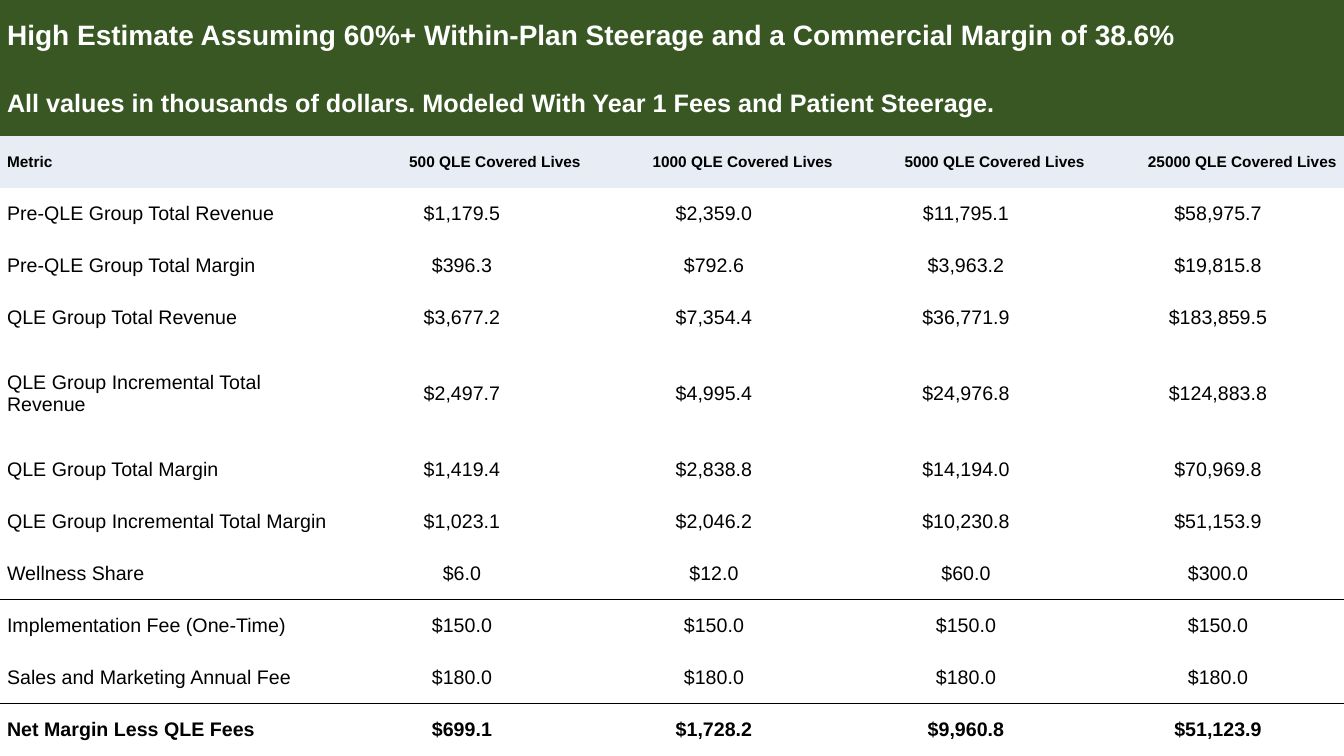
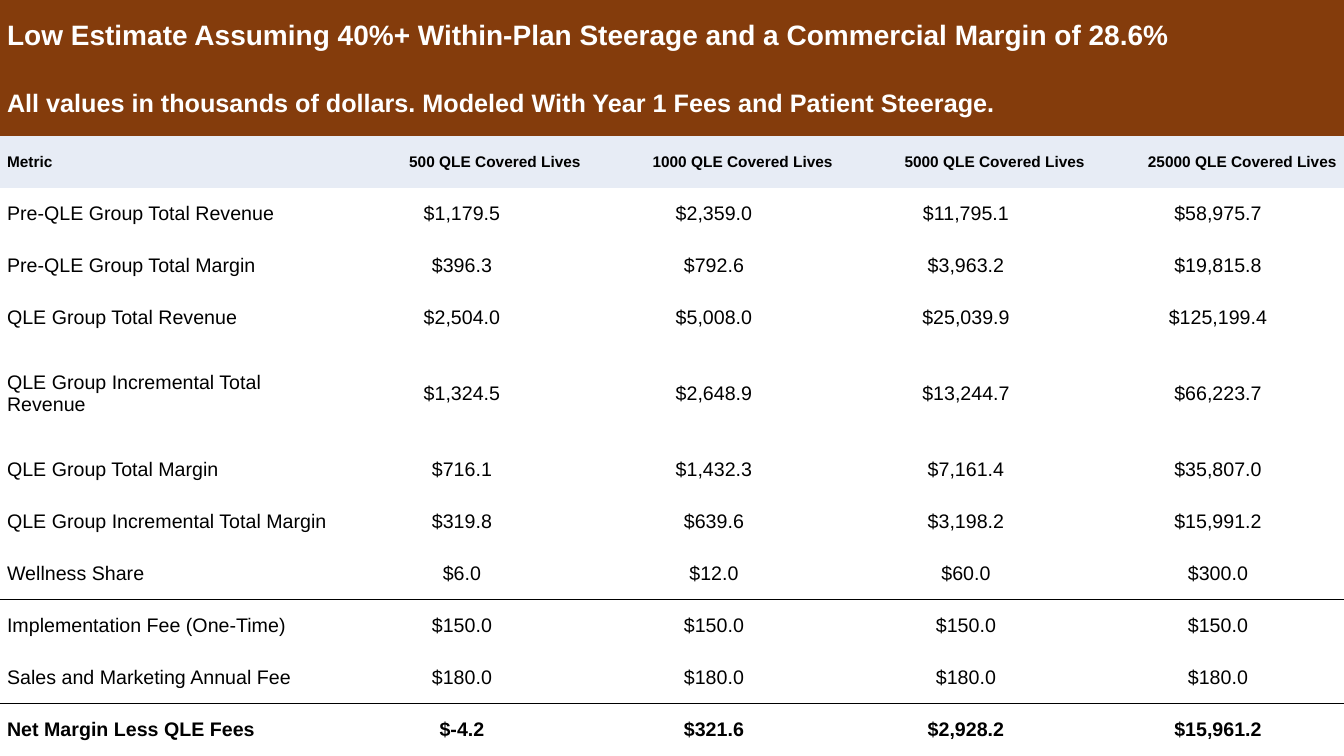
from dataclasses import dataclass

from lxml.etree import SubElement
from pptx import Presentation
from pptx.dml.color import RGBColor
from pptx.enum.text import MSO_ANCHOR as Anchor, PP_ALIGN as Align
from pptx.oxml.ns import qn
from pptx.util import Inches, Pt

GREEN = RGBColor(0x38, 0x57, 0x23)
BROWN = RGBColor(0x84, 0x3C, 0x0C)
PALE_BLUE = RGBColor(0xE7, 0xEC, 0xF5)
WHITE = RGBColor(0xFF, 0xFF, 0xFF)
BLACK = RGBColor(0x00, 0x00, 0x00)

WIDTH, HEIGHT = Inches(40 / 3), Inches(7.5)
COL_SHARES = (4 / 16,) + (3 / 16,) * 4
TITLE_ROW, SUBTITLE_ROW, TALL_ROW = Inches(0.71), Inches(0.64), Inches(0.99)
INDENT = Inches(0.07)
PLAIN_TABLE = "{2D5ABB26-0587-4C30-8999-92F81FD0307C}"
SIDES = ("lnL", "lnR", "lnT", "lnB")

SUBTITLE = "All values in thousands of dollars. Modeled With Year 1 Fees and Patient Steerage."
HEADER = ("Metric",) + tuple(f"{n} QLE Covered Lives" for n in (500, 1000, 5000, 25000))
TALL_METRIC = "QLE Group Incremental Total Revenue"
PRE_REVENUE = ("Pre-QLE Group Total Revenue", "$1,179.5", "$2,359.0", "$11,795.1", "$58,975.7")
PRE_MARGIN = ("Pre-QLE Group Total Margin", "$396.3", "$792.6", "$3,963.2", "$19,815.8")
WELLNESS = ("Wellness Share", "$6.0", "$12.0", "$60.0", "$300.0")
IMPLEMENTATION = ("Implementation Fee (One-Time)",) + ("$150.0",) * 4
MARKETING = ("Sales and Marketing Annual Fee",) + ("$180.0",) * 4


@dataclass(frozen=True)
class RowStyle:
    size: int
    bold: bool = False
    color: RGBColor = BLACK
    fill: RGBColor | None = None
    align: Align = Align.CENTER
    rule: str = ""


@dataclass(frozen=True)
class Estimate:
    title: str
    band: RGBColor
    revenue: tuple[str, ...]
    added_revenue: tuple[str, ...]
    margin: tuple[str, ...]
    added_margin: tuple[str, ...]
    net_margin: tuple[str, ...]

    def rows(self) -> list[tuple[tuple[str, ...], RowStyle]]:
        body = RowStyle(14)
        ruled = RowStyle(14, rule="lnB")
        return [
            ((self.title,), RowStyle(20, True, WHITE, self.band)),
            ((SUBTITLE,), RowStyle(18, True, WHITE, self.band)),
            (HEADER, RowStyle(11, True, fill=PALE_BLUE, align=Align.RIGHT)),
            (PRE_REVENUE, body),
            (PRE_MARGIN, body),
            (("QLE Group Total Revenue",) + self.revenue, body),
            ((TALL_METRIC,) + self.added_revenue, body),
            (("QLE Group Total Margin",) + self.margin, body),
            (("QLE Group Incremental Total Margin",) + self.added_margin, body),
            (WELLNESS, ruled),
            (IMPLEMENTATION, RowStyle(14, rule="lnT")),
            (MARKETING, ruled),
            (("Net Margin Less QLE Fees",) + self.net_margin, RowStyle(14, True, rule="lnT")),
        ]


ESTIMATES = (
    Estimate(
        "High Estimate Assuming 60%+ Within-Plan Steerage and a Commercial Margin of 38.6%",
        GREEN,
        ("$3,677.2", "$7,354.4", "$36,771.9", "$183,859.5"),
        ("$2,497.7", "$4,995.4", "$24,976.8", "$124,883.8"),
        ("$1,419.4", "$2,838.8", "$14,194.0", "$70,969.8"),
        ("$1,023.1", "$2,046.2", "$10,230.8", "$51,153.9"),
        ("$699.1", "$1,728.2", "$9,960.8", "$51,123.9"),
    ),
    Estimate(
        "Low Estimate Assuming 40%+ Within-Plan Steerage and a Commercial Margin of 28.6%",
        BROWN,
        ("$2,504.0", "$5,008.0", "$25,039.9", "$125,199.4"),
        ("$1,324.5", "$2,648.9", "$13,244.7", "$66,223.7"),
        ("$716.1", "$1,432.3", "$7,161.4", "$35,807.0"),
        ("$319.8", "$639.6", "$3,198.2", "$15,991.2"),
        ("$-4.2", "$321.6", "$2,928.2", "$15,961.2"),
    ),
)


def set_borders(cell, rule: str) -> None:
    for side in SIDES:
        ln = SubElement(cell._tc.get_or_add_tcPr(), qn(f"a:{side}"), w=str(Pt(1)))
        if side == rule:
            fill = SubElement(ln, qn("a:solidFill"))
            SubElement(fill, qn("a:srgbClr"), val=str(BLACK))
        else:
            SubElement(ln, qn("a:noFill"))


def fill_cell(cell, text: str, style: RowStyle, align: Align) -> None:
    cell_format = {
        "margin_left": 0, "margin_right": 0, "margin_top": 0, "margin_bottom": 0,
        "vertical_anchor": Anchor.MIDDLE,
    }
    for name, value in cell_format.items():
        setattr(cell, name, value)
    set_borders(cell, style.rule)
    if style.fill is None:
        cell.fill.background()
    else:
        cell.fill.solid()
        cell.fill.fore_color.rgb = style.fill
    p = cell.text_frame.paragraphs[0]
    p.alignment = align
    for side in ("marL", "marR"):
        p._p.get_or_add_pPr().set(side, str(INDENT))
    r = p.add_run()
    r.text = text
    for name, value in {"name": "Arial", "size": Pt(style.size), "bold": style.bold}.items():
        setattr(r.font, name, value)
    r.font.color.rgb = style.color


def row_heights(rows: list[tuple[tuple[str, ...], RowStyle]]) -> list[int]:
    special = {0: TITLE_ROW, 1: SUBTITLE_ROW}
    special |= {i: TALL_ROW for i, (texts, _) in enumerate(rows) if texts[0] == TALL_METRIC}
    regular = (HEIGHT - sum(special.values())) // (len(rows) - len(special))
    return [special.get(i, regular) for i in range(len(rows))]


def draw_estimate(prs, estimate: Estimate) -> None:
    s = prs.slides.add_slide(prs.slide_layouts[6])
    rows = estimate.rows()
    table = s.shapes.add_table(len(rows), len(COL_SHARES), 0, 0, WIDTH, HEIGHT).table
    table.first_row = table.horz_banding = False
    table._tbl.tblPr.find(qn("a:tableStyleId")).text = PLAIN_TABLE
    for column, share in zip(table.columns, COL_SHARES):
        column.width = int(WIDTH * share)
    for i, ((texts, style), height) in enumerate(zip(rows, row_heights(rows))):
        table.rows[i].height = height
        if len(texts) == 1:
            table.cell(i, 0).merge(table.cell(i, len(COL_SHARES) - 1))
        for j, text in enumerate(texts):
            fill_cell(table.cell(i, j), text, style, style.align if j else Align.LEFT)


def main() -> None:
    prs = Presentation()
    prs.slide_width, prs.slide_height = WIDTH, HEIGHT
    for estimate in ESTIMATES:
        draw_estimate(prs, estimate)
    prs.save("out.pptx")


if __name__ == "__main__":
    main()
